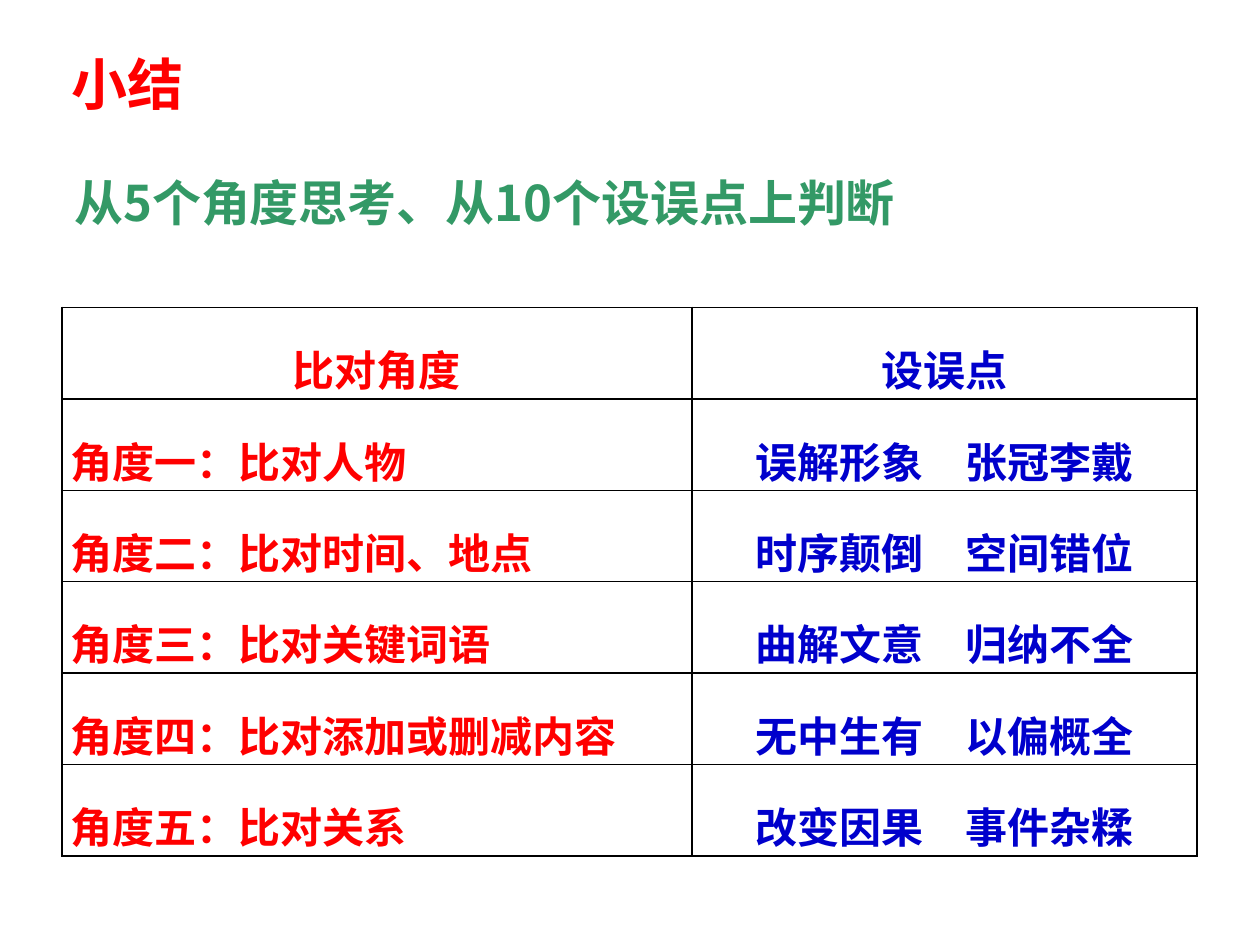
import pptx
import pptx.dml.color
import pptx.enum.text
import pptx.oxml
import pptx.oxml.ns
import pptx.util
from lxml import etree

TITLE = "小结"
SUBTITLE = "从5个角度思考、从10个设误点上判断"
ROWS = [
    ("比对角度", "设误点"),
    ("角度一：比对人物", "误解形象　张冠李戴"),
    ("角度二：比对时间、地点", "时序颠倒　空间错位"),
    ("角度三：比对关键词语", "曲解文意　归纳不全"),
    ("角度四：比对添加或删减内容", "无中生有　以偏概全"),
    ("角度五：比对关系", "改变因果　事件杂糅"),
]
COL_WIDTHS = [5, 4.01]
ROW_HEIGHT = 0.6
FONT = "Noto Sans CJK SC"
COLORS = {"red": "FF0000", "green": "339966", "blue": "0000CC", "black": "000000"}

Inches = pptx.util.Inches
Pt = pptx.util.Pt
qn = pptx.oxml.ns.qn
ALIGN = pptx.enum.text.PP_ALIGN
ANCHOR = pptx.enum.text.MSO_ANCHOR


def write(tf, text, size, color, align=ALIGN.LEFT, spacing=1.0, small_caps=False):
    p = tf.paragraphs[0]
    p.alignment = align
    p.line_spacing = spacing
    p.space_before = Pt(0)
    r = p.add_run()
    r.text = text
    r.font.size = Pt(size)
    r.font.bold = True
    r.font.name = FONT
    r.font.color.rgb = pptx.dml.color.RGBColor.from_string(COLORS[color])
    rPr = r.font._element
    rPr.find(qn("a:latin")).addnext(rPr.makeelement(qn("a:ea"), {"typeface": FONT}))
    if small_caps:
        rPr.set("cap", "small")
    return p


def place(sp, left, top, width, height, anchor):
    sp.left, sp.top = Inches(left), Inches(top)
    sp.width, sp.height = Inches(width), Inches(height)
    sp.text_frame.word_wrap = True
    sp.text_frame.auto_size = pptx.enum.text.MSO_AUTO_SIZE.NONE
    sp.text_frame.vertical_anchor = anchor
    return sp.text_frame


def set_borders(cell):
    tcPr = cell._tc.get_or_add_tcPr()
    for i, side in enumerate(("lnL", "lnR", "lnT", "lnB")):
        ln = tcPr.makeelement(qn(f"a:{side}"), {"w": str(Pt(1))})
        fill = etree.SubElement(ln, qn("a:solidFill"))
        etree.SubElement(fill, qn("a:srgbClr"), {"val": COLORS["black"]})
        tcPr.insert(i, ln)


def main():
    prs = pptx.Presentation()
    prs.slide_width, prs.slide_height = Inches(10), Inches(7.5)
    s = prs.slides.add_slide(prs.slide_layouts[1])

    tf = place(s.shapes.title, 0.47, 0.21, 5.42, 0.79, ANCHOR.BOTTOM)
    write(tf, TITLE, 40, "red", small_caps=True)

    tf = place(s.placeholders[1], 0.49, 1.32, 7.93, 1.09, ANCHOR.TOP)
    pPr = tf.paragraphs[0]._p.get_or_add_pPr()
    pPr.set("marL", "0")
    pPr.set("indent", "0")
    etree.SubElement(pPr, qn("a:buNone"))
    write(tf, SUBTITLE, 28, "green")

    table = s.shapes.add_table(
        len(ROWS), len(COL_WIDTHS), Inches(0.49), Inches(2.44),
        Inches(sum(COL_WIDTHS)), Inches(ROW_HEIGHT * len(ROWS)),
    ).table
    table.first_row = table.horz_banding = False
    for col, width in zip(table.columns, COL_WIDTHS):
        col.width = Inches(width)
    for i, row in enumerate(ROWS):
        table.rows[i].height = Inches(ROW_HEIGHT)
        for j, text in enumerate(row):
            cell = table.cell(i, j)
            cell.margin_left = cell.margin_right = Inches(0.07)
            cell.margin_top = cell.margin_bottom = 0
            cell.vertical_anchor = ANCHOR.MIDDLE
            cell.fill.background()
            set_borders(cell)
            align = ALIGN.LEFT if i and not j else ALIGN.CENTER
            write(cell.text_frame, text, 24, ("red", "blue")[j], align=align, spacing=1.5)

    prs.save("out.pptx")


if __name__ == "__main__":
    main()
